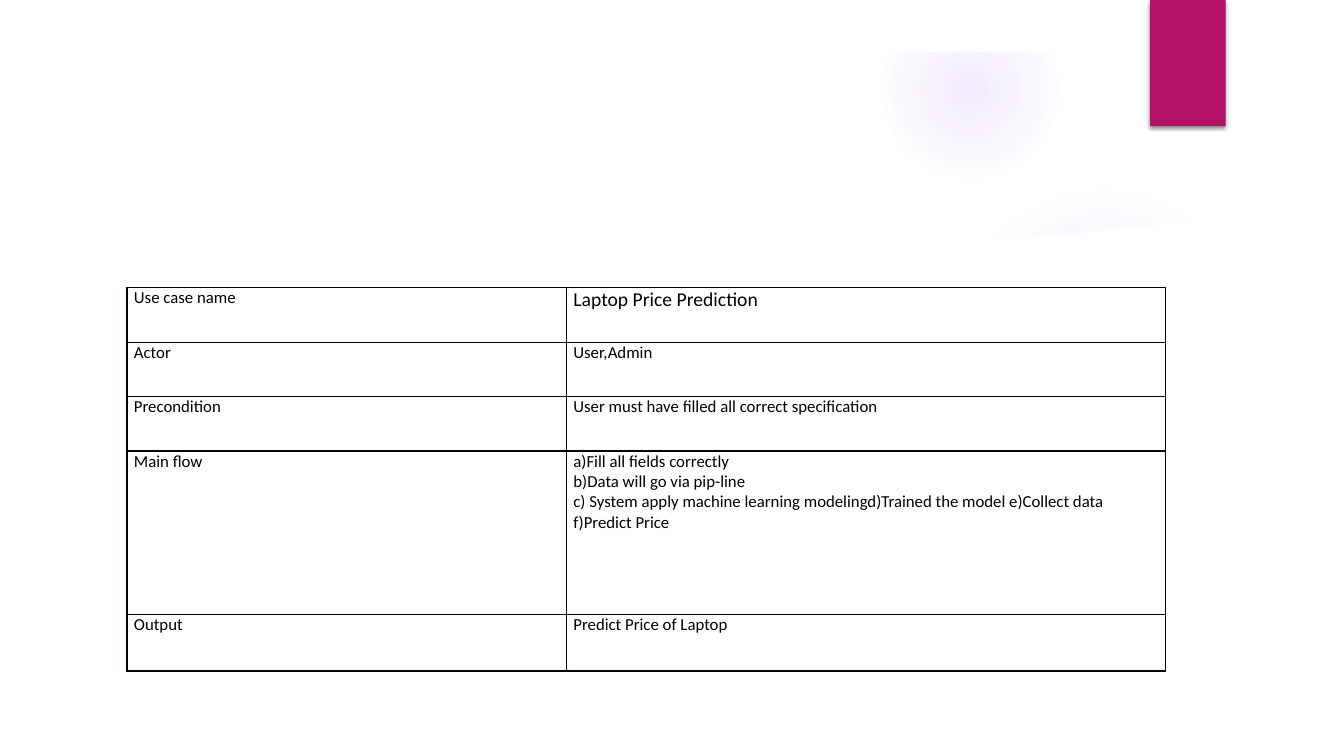
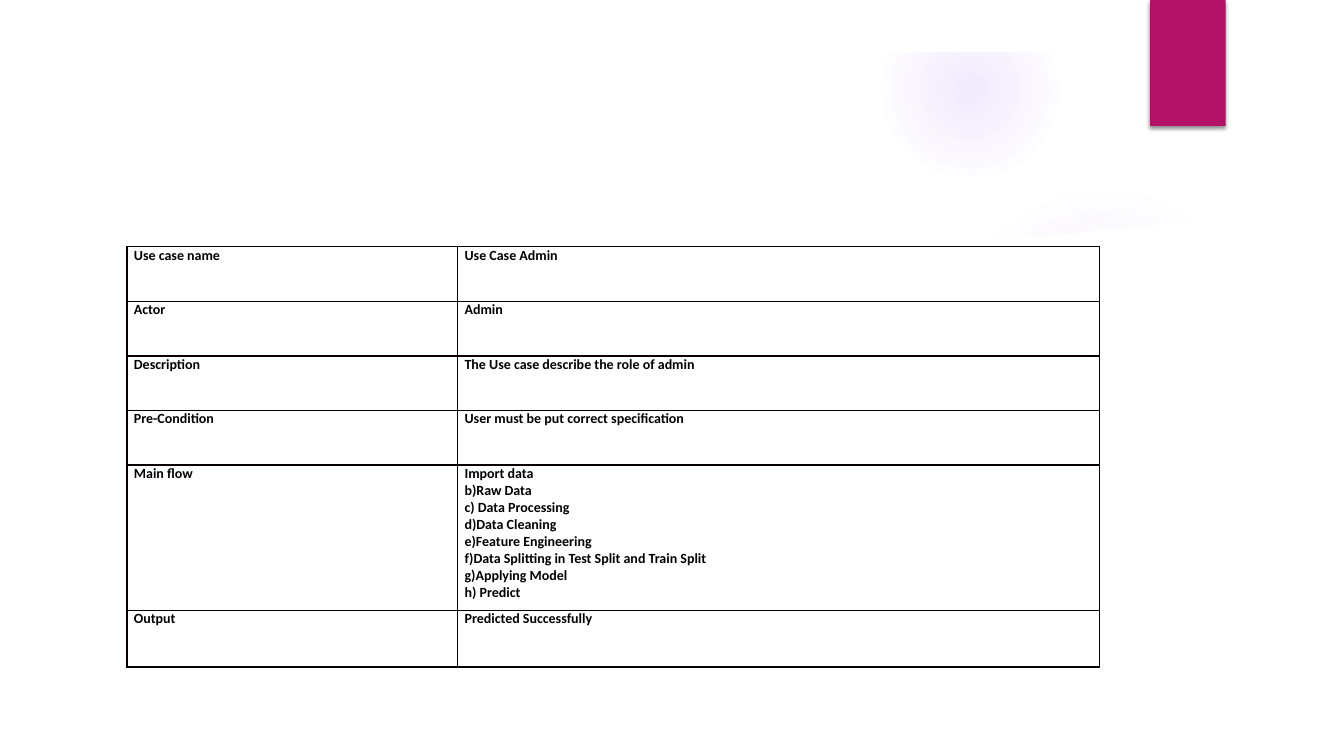
from dataclasses import dataclass

from pptx import Presentation
from pptx.dml.color import RGBColor
from pptx.enum.shapes import MSO_SHAPE
from pptx.oxml import parse_xml
from pptx.oxml.ns import nsdecls, qn
from pptx.util import Pt

# Content: rows are (label, paragraphs, height)
USE_CASES = [
    dict(
        top=205.5, columns=(313.9, 427.7), size=12, bold=False, name_size=14,
        rows=[
            ("Use case name", ["Laptop Price Prediction"], 38.9),
            ("Actor", ["User,Admin"], 38.9),
            ("Precondition", ["User must have filled all correct specification"], 38.9),
            ("Main flow", [
                "a)Fill all fields correctly",
                "b)Data will go via pip-line",
                "c) System apply machine learning modelingd)Trained the model "
                "e)Collect data f)Predict Price",
            ], 116.6),
            ("Output", ["Predict Price of Laptop"], 40.5),
        ],
    ),
    dict(
        top=176.3, columns=(236.2, 458.6), size=10, bold=True, name_size=10,
        rows=[
            ("Use case name", ["Use Case Admin"], 39),
            ("Actor", ["Admin"], 39),
            ("Description", ["The Use case describe the role of admin"], 39),
            ("Pre-Condition", ["User must be put correct specification"], 39),
            ("Main flow", [
                "Import data",
                "b)Raw Data",
                "c) Data Processing",
                "d)Data Cleaning",
                "e)Feature Engineering",
                "f)Data Splitting in Test Split and Train Split",
                "g)Applying Model",
                "h) Predict",
            ], 103.7),
            ("Output", ["Predicted Successfully"], 40.5),
        ],
    ),
]


@dataclass(frozen=True)
class Theme:
    font: str = "Calibri"
    text: str = "000000"
    border: str = "080000"
    accent: str = "B31166"
    glow: str = "9B6BF2"
    paper: str = "FFFFFF"


THEME = Theme()
WIDTH, HEIGHT = 960, 540
TABLE_LEFT = 90.7
FRAME_WIDTH = 37.44

# Glows: left, top, diameter, (position %, opacity %) stops
GLOWS = [
    (677.5, 131.8, 221.8, [(0, 7), (36, 6), (69, 0)]),
    (630, 0.7, 126, [(0, 14), (36, 7), (73, 0)]),
]
VEIL = [(672.5, 180), (760, 176), (840, 167), (928, 154), (923.8, 119.5),
        (873.4, 135.4), (815, 150.5), (757.4, 162), (669.6, 175)]
PANEL = [(36, 147), (67.7, 151.2), (155.5, 161.3), (259.2, 169.9),
         (367.9, 175.7), (491, 178.6), (604.8, 177.1), (683.3, 173.5),
         (743, 169.2), (803.5, 163.4), (864, 156.2), (924.5, 146.9),
         (924.5, 504), (36, 504)]


def paint(shape, color):
    shape.shadow.inherit = False
    shape.line.fill.background()
    shape.fill.solid()
    shape.fill.fore_color.rgb = RGBColor.from_string(color)
    return shape


def add_preset(page, kind, left, top, width, height, color):
    box = page.shapes.add_shape(kind, Pt(left), Pt(top), Pt(width), Pt(height))
    return paint(box, color)


def add_outline(page, points, color):
    start, *others = [(Pt(x), Pt(y)) for x, y in points]
    builder = page.shapes.build_freeform(*start)
    builder.add_line_segments(others, close=True)
    return paint(builder.convert_to_shape(), color)


def add_glow(page, left, top, diameter, stops):
    glow = add_preset(page, MSO_SHAPE.OVAL, left, top, diameter, diameter, THEME.glow)
    stop_xml = "".join(
        f'<a:gs pos="{position * 1000}"><a:srgbClr val="{THEME.glow}">'
        f'<a:alpha val="{opacity * 1000}"/></a:srgbClr></a:gs>'
        for position, opacity in stops)
    gradient = parse_xml(
        f'<a:gradFill {nsdecls("a")} rotWithShape="1"><a:gsLst>{stop_xml}</a:gsLst>'
        '<a:path path="circle"><a:fillToRect l="50000" t="50000" r="50000" b="50000"/>'
        '</a:path></a:gradFill>')
    properties = glow.element.spPr
    properties.replace(properties.find(qn("a:solidFill")), gradient)


def add_backdrop(page):
    for glow in GLOWS:
        add_glow(page, *glow)
    veil = add_outline(page, VEIL, THEME.paper)
    veil.rotation = 350.2
    veil.element.spPr.find(qn("a:solidFill"))[0].append(
        parse_xml(f'<a:alpha {nsdecls("a")} val="20000"/>'))
    add_outline(page, PANEL, THEME.paper)
    frame = add_preset(page, MSO_SHAPE.FRAME, 0, 0, WIDTH, HEIGHT, THEME.paper)
    frame.adjustments[0] = FRAME_WIDTH / HEIGHT

    # Accent tab with a soft shadow below
    tab = add_preset(page, MSO_SHAPE.RECTANGLE, 821.5, 0, 54, 90, THEME.accent)
    tab.element.spPr.find(qn("a:effectLst")).append(parse_xml(
        f'<a:outerShdw {nsdecls("a")} blurRad="{Pt(3)}" dist="{Pt(2)}" dir="5400000" '
        'rotWithShape="0"><a:srgbClr val="000000"><a:alpha val="45000"/></a:srgbClr>'
        '</a:outerShdw>'))


def fill_cell(cell, paragraphs, size, bold):
    margins = dict(margin_left=5, margin_right=5, margin_top=0, margin_bottom=0)
    for name, value in margins.items():
        setattr(cell, name, Pt(value))
    cell.fill.background()
    properties = cell._tc.get_or_add_tcPr()
    for index, side in enumerate("LRTB"):
        properties.insert(index, parse_xml(
            f'<a:ln{side} {nsdecls("a")} w="{Pt(1)}"><a:solidFill>'
            f'<a:srgbClr val="{THEME.border}"/></a:solidFill></a:ln{side}>'))
    text_format = dict(name=THEME.font, size=Pt(size), bold=bold)
    for index, text in enumerate(paragraphs):
        frame = cell.text_frame
        para = frame.add_paragraph() if index else frame.paragraphs[0]
        span = para.add_run()
        span.text = text
        for name, value in text_format.items():
            setattr(span.font, name, value)
        span.font.color.rgb = RGBColor.from_string(THEME.text)


def add_use_case(page, case):
    rows, columns = case["rows"], case["columns"]
    height = sum(row[2] for row in rows)
    table = page.shapes.add_table(
        len(rows), len(columns), Pt(TABLE_LEFT), Pt(case["top"]),
        Pt(sum(columns)), Pt(height)).table
    table.first_row = table.horz_banding = False
    for column, width in zip(table.columns, columns):
        column.width = Pt(width)
    for index, (label, paragraphs, row_height) in enumerate(rows):
        table.rows[index].height = Pt(row_height)
        value_size = case["size"] if index else case["name_size"]
        fill_cell(table.cell(index, 0), [label], case["size"], case["bold"])
        fill_cell(table.cell(index, 1), paragraphs, value_size, case["bold"])


def main():
    deck = Presentation()
    deck.slide_width, deck.slide_height = Pt(WIDTH), Pt(HEIGHT)
    for case in USE_CASES:
        page = deck.slides.add_slide(deck.slide_layouts[6])
        add_backdrop(page)
        add_use_case(page, case)
    deck.save("out.pptx")


if __name__ == "__main__":
    main()
